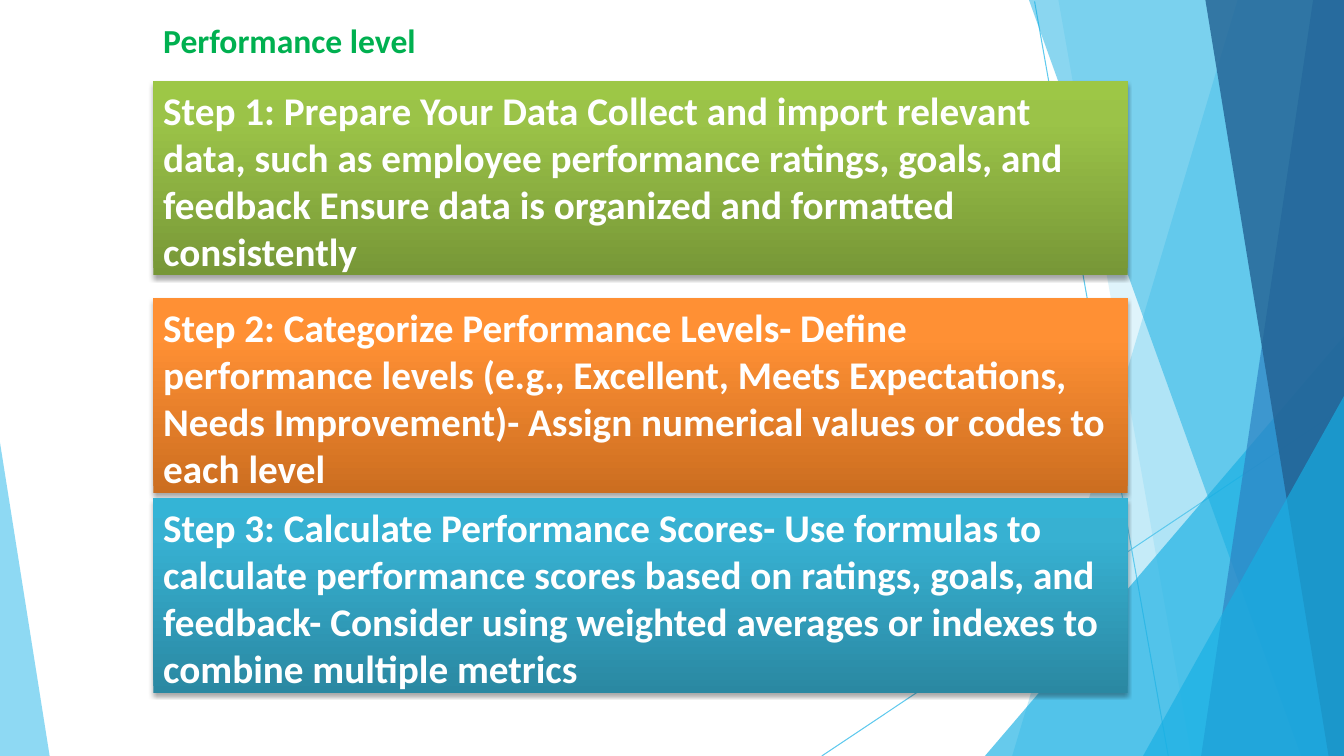
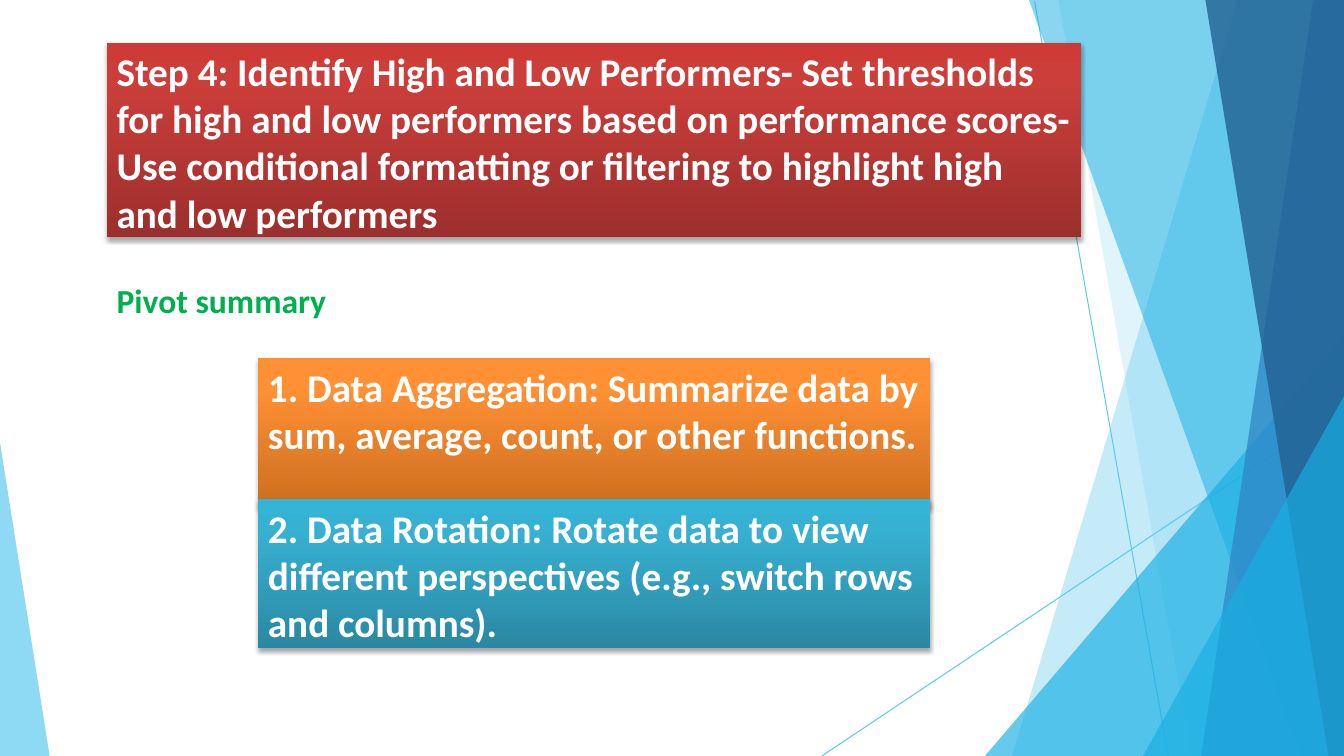
"""Build two slides of performance steps and pivot summary boxes."""
from lxml.etree import SubElement
from pptx import Presentation
from pptx.dml.color import RGBColor
from pptx.enum.shapes import MSO_CONNECTOR as Connector, MSO_SHAPE as Shape
from pptx.enum.text import MSO_ANCHOR as Anchor, PP_ALIGN as Align
from pptx.oxml import parse_xml
from pptx.oxml.ns import nsdecls, qn
from pptx.util import Pt

WIDTH, HEIGHT = 960, 540
FONT = "Calibri"
COLORS = {
    "sky": "5FCAEE", "cyan": "17AFE3", "blue": "2D83C3", "navy": "226192",
    "heading": "00B050", "white": "FFFFFF", "shadow": "000000",
}
GRADIENTS = {
    "green": ("779737", "9BC348", "9DC746"),
    "orange": ("CC6E20", "FF9034", "FF9136"),
    "teal": ("2A88A2", "37B1D2", "34B4D6"),
    "red": ("9C2F2D", "CB3E3A", "CE3B37"),
}
STOPS = (0, 80, 100)

RAYS = [((739, 1), (834.5, HEIGHT)), ((WIDTH, 291), (587, HEIGHT))]
CORNER = (WIDTH, HEIGHT)
TOP_CORNER = (WIDTH, 0)
FACETS = [
    ("sky", 36, [TOP_CORNER, (884, 0), (723, HEIGHT), CORNER]),
    ("sky", 20, [TOP_CORNER, (756, 0), (851, HEIGHT), CORNER]),
    ("cyan", 66, [(WIDTH, 240), (703.5, HEIGHT), CORNER]),
    ("cyan", 50, [TOP_CORNER, (735, 0), (929.5, HEIGHT), CORNER]),
    ("blue", 70, [TOP_CORNER, (938, 0), (858, HEIGHT), CORNER]),
    ("navy", 80, [TOP_CORNER, (861, 0), (949, HEIGHT), CORNER]),
    ("cyan", 66, [(WIDTH, 283), (816.5, HEIGHT), CORNER]),
    ("sky", 70, [(0, 316), (0, HEIGHT), (35.5, HEIGHT)]),
]

STEP_SIZE = (696, 139)
PIVOT_SIZE = (480, 106.5)
HEADING_SIZE = (480, 36)
SLIDES = [
    {
        "heading": ("Performance level", 109.5, 10.8),
        "boxes": [
            ("green", 109.5, 57.8, STEP_SIZE,
             "Step 1: Prepare Your Data Collect and import relevant data, such as "
             "employee performance ratings, goals, and feedback Ensure data is "
             "organized and formatted consistently"),
            ("orange", 109.5, 213, STEP_SIZE,
             "Step 2: Categorize Performance Levels- Define performance levels "
             "(e.g., Excellent, Meets Expectations, Needs Improvement)- Assign "
             "numerical values or codes to each level"),
            ("teal", 109.5, 355.8, STEP_SIZE,
             "Step 3: Calculate Performance Scores- Use formulas to calculate "
             "performance scores based on ratings, goals, and feedback- Consider "
             "using weighted averages or indexes to combine multiple metrics"),
        ],
    },
    {
        "heading": ("Pivot summary", 76.2, 196.6),
        "boxes": [
            ("red", 76.2, 30.5, STEP_SIZE,
             "Step 4: Identify High and Low Performers- Set thresholds for high "
             "and low performers based on performance scores- Use conditional "
             "formatting or filtering to highlight high and low performers"),
            ("orange", 184.3, 255.8, PIVOT_SIZE,
             "1. Data Aggregation: Summarize data by sum, average, count, or "
             "other functions."),
            ("teal", 184.3, 356.6, PIVOT_SIZE,
             "2. Data Rotation: Rotate data to view different perspectives "
             "(e.g., switch rows and columns)."),
        ],
    },
]


def color(name):
    return RGBColor.from_string(COLORS[name])


def points(*lengths):
    return [Pt(length) for length in lengths]


def add_ray(page, start, end):
    ray = page.shapes.add_connector(Connector.STRAIGHT, *points(*start, *end))
    ray.line.color.rgb = color("sky")
    ray.line.width = Pt(0.75)
    SubElement(ray.element.spPr, qn("a:effectLst"))


def add_facet(page, name, opacity, corners):
    first, *rest = [tuple(points(*corner)) for corner in corners]
    builder = page.shapes.build_freeform(*first)
    builder.add_line_segments(rest)
    facet = builder.convert_to_shape()
    facet.shadow.inherit = False
    facet.line.fill.background()
    facet.fill.solid()
    facet.fill.fore_color.rgb = color(name)
    tint = facet.element.spPr.find(qn("a:solidFill"))[0]
    SubElement(tint, qn("a:alpha"), val=str(opacity * 1000))


def add_backdrop(page):
    for start, end in RAYS:
        add_ray(page, start, end)
    for facet in FACETS:
        add_facet(page, *facet)


def write(shape, text, size, name):
    frame = shape.text_frame
    frame.word_wrap = True
    frame.vertical_anchor = Anchor.TOP
    para = frame.paragraphs[0]
    para.text = text
    para.alignment = Align.LEFT
    para.font.name = FONT
    para.font.size = Pt(size)
    para.font.bold = True
    para.font.color.rgb = color(name)


def fill_gradient(shape, tones):
    shape.fill.background()
    stops = "".join(
        f'<a:gs pos="{stop * 1000}"><a:srgbClr val="{tone}"/></a:gs>'
        for stop, tone in zip(STOPS, tones)
    )
    properties = shape.element.spPr
    properties.replace(properties.find(qn("a:noFill")), parse_xml(
        f'<a:gradFill {nsdecls("a")} rotWithShape="1"><a:gsLst>{stops}</a:gsLst>'
        '<a:lin ang="16200000" scaled="0"/></a:gradFill>'
    ))


def add_drop_shadow(shape):
    shape.shadow.inherit = False
    shape.element.spPr.find(qn("a:effectLst")).append(parse_xml(
        f'<a:outerShdw {nsdecls("a")} blurRad="{Pt(3.1)}" dist="{Pt(1.8)}" '
        f'dir="5400000" rotWithShape="0"><a:srgbClr val="{COLORS["shadow"]}">'
        '<a:alpha val="35000"/></a:srgbClr></a:outerShdw>'
    ))


def add_box(page, gradient, left, top, size, text):
    box = page.shapes.add_shape(Shape.RECTANGLE, *points(left, top, *size))
    box.line.fill.background()
    fill_gradient(box, GRADIENTS[gradient])
    add_drop_shadow(box)
    write(box, text, 28, "white")


def add_heading(page, text, left, top):
    heading = page.shapes.add_textbox(*points(left, top, *HEADING_SIZE))
    write(heading, text, 24, "heading")


def main():
    deck = Presentation()
    deck.slide_width, deck.slide_height = points(WIDTH, HEIGHT)
    for content in SLIDES:
        page = deck.slides.add_slide(deck.slide_layouts[6])
        add_backdrop(page)
        for box in content["boxes"]:
            add_box(page, *box)
        add_heading(page, *content["heading"])
    deck.save("out.pptx")


if __name__ == "__main__":
    main()
